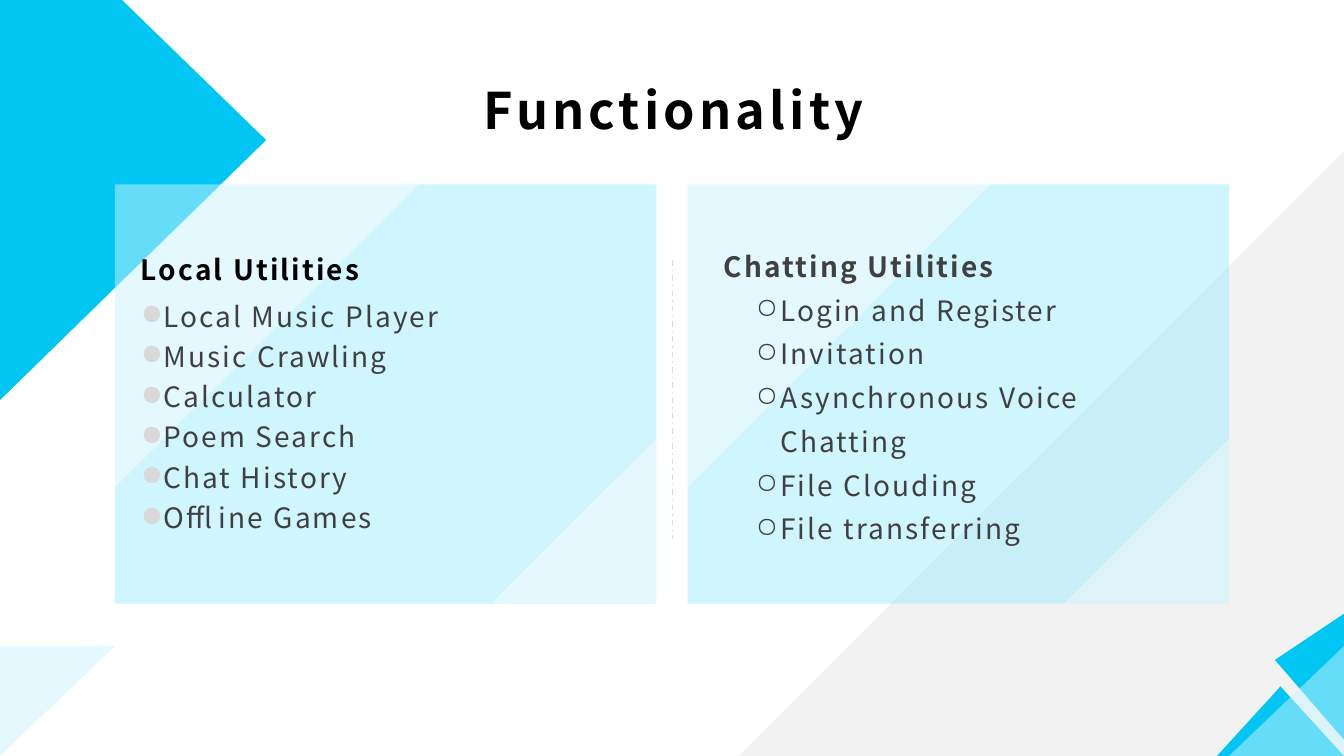
from lxml.etree import SubElement
from pptx import Presentation
from pptx.dml.color import RGBColor
from pptx.enum.dml import MSO_LINE
from pptx.enum.shapes import MSO_CONNECTOR, MSO_SHAPE
from pptx.enum.text import MSO_ANCHOR, MSO_AUTO_SIZE, PP_ALIGN
from pptx.oxml.ns import qn
from pptx.util import Inches, Pt

FONT = "Noto Sans CJK SC"
CYAN, PALE, AQUA = "01C6F4", "CAF5FF", "95EBFF"
BLACK, DARK, GREY, LIGHT = "000000", "404040", "D9D9D9", "F2F2F2"


def rgb(code):
    return RGBColor.from_string(code)


class SlideBuilder:
    def __init__(self, slide):
        self.slide = slide
        self.shapes = slide.shapes

    def paint(self, shape, color, alpha=None):
        shape.shadow.inherit = False
        shape.line.fill.background()
        shape.fill.solid()
        shape.fill.fore_color.rgb = rgb(color)
        if alpha:
            tint = shape._element.spPr.find(".//" + qn("a:srgbClr"))
            SubElement(tint, qn("a:alpha")).set("val", str(alpha * 1000))

    def triangle(self, kind, box, color, alpha=None, flip=None, rotation=0, apex=None):
        shape = self.shapes.add_shape(kind, *map(Inches, box))
        shape.rotation = rotation
        if apex:
            shape.adjustments[0] = apex
        if flip:
            shape._element.spPr.find(qn("a:xfrm")).set("flip" + flip, "1")
        self.paint(shape, color, alpha)

    def polygon(self, points, color, alpha=None):
        corners = [(Inches(x), Inches(y)) for x, y in points]
        outline = self.shapes.build_freeform(*corners[0], scale=1.0)
        outline.add_line_segments(corners[1:], close=True)
        self.paint(outline.convert_to_shape(), color, alpha)

    def divider(self, start, end, color):
        line = self.shapes.add_connector(MSO_CONNECTOR.STRAIGHT, *map(Inches, start + end))
        for name, value in {"width": Pt(1), "dash_style": MSO_LINE.DASH_DOT}.items():
            setattr(line.line, name, value)
        line.line.color.rgb = rgb(color)
        SubElement(line._element.spPr, qn("a:effectLst"))

    def frame(self, shape, box, **frame_format):
        for name, value in zip(("left", "top", "width", "height"), box):
            setattr(shape, name, Inches(value))
        settings = {"word_wrap": True, "auto_size": MSO_AUTO_SIZE.NONE, **frame_format}
        for name, value in settings.items():
            setattr(shape.text_frame, name, value)
        return shape.text_frame

    def title(self, text, box):
        frame = self.frame(self.shapes.title, box, vertical_anchor=MSO_ANCHOR.TOP,
                           margin_left=Inches(0.11), margin_right=Inches(0.07),
                           margin_top=Inches(0.04), margin_bottom=Inches(0.04))
        self.paragraph(frame.paragraphs[0], text, size=36, color=BLACK, bold=True,
                       tracking=300, spacing=1.1, align=PP_ALIGN.CENTER)

    def text(self, box, paragraphs):
        shape = self.shapes.add_textbox(*map(Inches, box))
        frame = self.frame(shape, box, vertical_anchor=MSO_ANCHOR.MIDDLE)
        for index, (words, style) in enumerate(paragraphs):
            target = frame.add_paragraph() if index else frame.paragraphs[0]
            self.paragraph(target, words, **style)

    def paragraph(self, target, words, size=20, color=DARK, bold=False, tracking=150,
                  spacing=1.2, align=PP_ALIGN.LEFT, level=0, indent=None,
                  bullet=None, bullet_color=None):
        props = target._p.get_or_add_pPr()
        if indent:
            for name, value in zip(("marL", "indent"), indent):
                props.set(name, str(Inches(value)))
        if bullet_color:
            tint = SubElement(props, qn("a:buClr"))
            SubElement(tint, qn("a:srgbClr")).set("val", bullet_color)
        if bullet:
            SubElement(props, qn("a:buChar")).set("char", bullet)
        for name, value in {"level": level, "alignment": align, "line_spacing": spacing}.items():
            setattr(target, name, value)
        run = target.add_run()
        run.text = words
        for name, value in {"name": FONT, "size": Pt(size), "bold": bold}.items():
            setattr(run.font, name, value)
        run.font.color.rgb = rgb(color)
        run_props = run._r.get_or_add_rPr()
        run_props.set("spc", str(tracking))
        SubElement(run_props, qn("a:ea")).set("typeface", FONT)

    def panel(self, left):
        """Translucent card: a diagonal band between two pale corners."""
        top, right, bottom = 1.83, left + 5.37, 5.99
        fold, corner = 3.01, 1.64
        self.triangle(MSO_SHAPE.RIGHT_TRIANGLE,
                      (right - corner, bottom - corner, corner, corner), PALE, 50, "H")
        self.polygon([(left + fold, top), (right, top), (right, bottom - corner),
                      (right - corner, bottom), (left, bottom), (left, top + fold)], AQUA, 45)
        self.triangle(MSO_SHAPE.RIGHT_TRIANGLE, (left, top, fold, fold), PALE, 50, "V")


def main():
    prs = Presentation()
    prs.slide_width, prs.slide_height = Inches(13.33), Inches(7.5)
    page = SlideBuilder(prs.slides.add_slide(prs.slide_layouts[5]))

    # Corner decoration
    page.polygon([(0, 0), (1.21, 0), (2.64, 1.39), (0, 3.97)], CYAN)
    page.triangle(MSO_SHAPE.RIGHT_TRIANGLE, (7.33, 1.5, 6, 6), LIGHT, flip="H")
    page.triangle(MSO_SHAPE.ISOSCELES_TRIANGLE, (12.36, 6.37, 1.26, 0.69), CYAN,
                  flip="V", rotation=90, apex=0.367)
    page.triangle(MSO_SHAPE.ISOSCELES_TRIANGLE, (12.07, 6.81, 1.26, 0.69), CYAN)
    for left, flip in ((0, "V"), (12.19, "H")):
        page.triangle(MSO_SHAPE.RIGHT_TRIANGLE, (left, 6.41, 1.14, 1.09), PALE, 50, flip)

    # Panels
    for left in (6.82, 1.14):
        page.panel(left)
    page.divider((6.67, 2.58), (6.67, 5.34), GREY)

    # Title
    page.title("Functionality", (1.3, 0.68, 10.73, 0.76))

    # Local utilities
    local_item = {"indent": (0.19, -0.19), "bullet": "●", "bullet_color": GREY}
    local_utilities = ["Local Music Player", "Music Crawling", "Calculator",
                       "Poem Search", "Chat History", "Offline Games"]
    page.text((1.3, 2.17, 4.95, 3.86), [(name, local_item) for name in local_utilities])
    page.text((1.3, 2.3, 11.65, 0.68), [("Local Utilities", {"color": BLACK, "bold": True})])

    # Chatting utilities
    chat_heading = {"bold": True, "indent": (0.19, -0.19)}
    chat_item = {"level": 1, "indent": (0.56, -0.24), "bullet": "○", "spacing": 1.3}
    chat_utilities = ["Login and Register", "Invitation", "Asynchronous Voice Chatting",
                      "File Clouding", "File transferring"]
    page.text((7.08, 1.98, 4.95, 3.86), [("Chatting Utilities", chat_heading)]
              + [(name, chat_item) for name in chat_utilities])

    prs.save("out.pptx")


if __name__ == "__main__":
    main()
